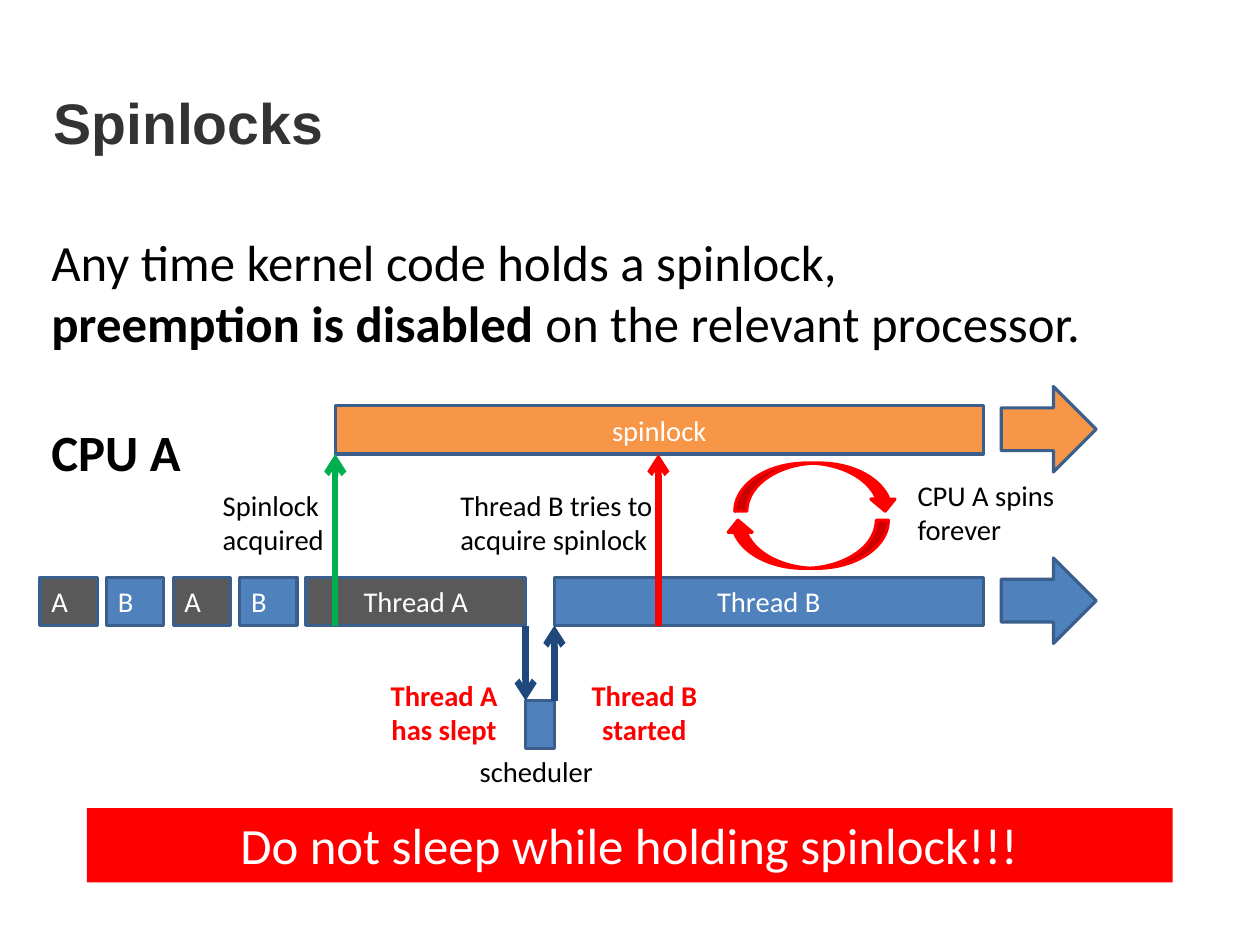
from lxml import etree
from pptx import Presentation
from pptx import util as u
from pptx.dml.color import RGBColor
from pptx.enum import shapes, text
from pptx.oxml.ns import qn

KIND = shapes.MSO_SHAPE
LEFT, CENTER = text.PP_ALIGN.LEFT, text.PP_ALIGN.CENTER
TOP, MIDDLE = text.MSO_ANCHOR.TOP, text.MSO_ANCHOR.MIDDLE

BLACK, WHITE, RED, GREEN = "000000", "FFFFFF", "FF0000", "00B050"
GREY, BLUE, ORANGE = "595959", "4F81BD", "F79646"
NAVY, BORDER = "1F497D", "3A5F8C"

# Shared positions on the timeline, in cm
BAR_HEIGHT = 1.07
LOCK_TOP, THREAD_TOP, SCHEDULER_TOP = 9.02, 12.83, 15.57
LOCK_BOTTOM = LOCK_TOP + BAR_HEIGHT
THREAD_BOTTOM = THREAD_TOP + BAR_HEIGHT
ACQUIRED, SLEPT, STARTED, RETRIED, BARS_END = 7.45, 11.68, 12.32, 14.63, 21.85


def color(value):
    return RGBColor.from_string(value)


class Slide:
    """Draws elements on one slide; places and sizes are in cm."""
    font = "Calibri"

    def __init__(self, page):
        self.page = page

    def set_text(self, frame, lines, size=18, ink=BLACK, bold=False, align=LEFT,
                 anchor=TOP, font=None):
        """Fill a text frame; a line is a string or a list of (text, bold) spans."""
        frame.word_wrap = True
        frame.vertical_anchor = anchor
        for index, line in enumerate(lines):
            para = frame.paragraphs[0] if index == 0 else frame.add_paragraph()
            para.alignment = align
            para.font.name = font or self.font
            para.font.size = u.Pt(size)
            para.font.color.rgb = color(ink)
            if isinstance(line, str):
                para.font.bold = bold
                para.add_run().text = line
            else:
                for words, heavy in line:
                    span = para.add_run()
                    span.text = words
                    span.font.bold = heavy

    def label(self, place, *lines, **style):
        box = self.page.shapes.add_textbox(*map(u.Cm, place))
        self.set_text(box.text_frame, lines, **style)
        return box

    def shape(self, kind, place, fill, border=BORDER, caption=None, **style):
        shape = self.page.shapes.add_shape(kind, *map(u.Cm, place))
        shape.shadow.inherit = False
        shape.fill.solid()
        shape.fill.fore_color.rgb = color(fill)
        if border:
            shape.line.color.rgb = color(border)
            shape.line.width = u.Pt(2)
        else:
            shape.line.fill.background()
        if caption:
            style = {"ink": WHITE, "align": CENTER, "anchor": MIDDLE, **style}
            self.set_text(shape.text_frame, [caption], **style)
        return shape

    def bar(self, start, end, top, fill, caption=None, **style):
        place = (start, top, end - start, BAR_HEIGHT)
        return self.shape(KIND.RECTANGLE, place, fill, caption=caption, **style)

    def arrow(self, x, start, end, ink):
        """Draw a vertical arrow from start to end."""
        connector = self.page.shapes.add_connector(
            shapes.MSO_CONNECTOR.STRAIGHT, *map(u.Cm, (x, start, x, end)))
        connector.line.color.rgb = color(ink)
        connector.line.width = u.Pt(4)
        properties = connector._element.spPr
        etree.SubElement(properties.find(qn("a:ln")), qn("a:tailEnd"), type="arrow")
        etree.SubElement(properties, qn("a:effectLst"))


def draw_text(slide):
    title = slide.label((1.19, 1.8, 23.4, 1.8), "Spinlocks", size=36, ink="333333",
                        bold=True, anchor=MIDDLE, font="Arial")
    frame = title.text_frame
    frame.margin_left = frame.margin_right = frame.margin_top = frame.margin_bottom = 0
    slide.label((0.89, 5, 26.23, 3.05),
                "Any time kernel code holds a spinlock,",
                [("preemption is disabled ", True),
                 ("on the relevant processor.", False)], size=32)
    slide.label((0.89, 9.22, 3.38, 1.65), "CPU A", size=32, bold=True)


def draw_timeline(slide):
    for index, name in enumerate("ABAB"):
        start = 0.89 + index * 1.48
        slide.bar(start, start + 1.27, THREAD_TOP, GREY if name == "A" else BLUE,
                  name, align=LEFT)
    slide.bar(6.8, SLEPT, THREAD_TOP, GREY, "Thread A")
    slide.bar(STARTED, BARS_END, THREAD_TOP, BLUE, "Thread B")
    slide.bar(ACQUIRED, BARS_END, LOCK_TOP, ORANGE, "spinlock")
    slide.bar(SLEPT, STARTED, SCHEDULER_TOP, BLUE)

    for top, fill in ((LOCK_TOP, ORANGE), (THREAD_TOP, BLUE)):
        slide.shape(KIND.RIGHT_ARROW, (22.25, top - 0.43, 2.11, 1.9), fill)
    for left, top, turn in ((16.33, 10.29, 0), (16.13, 11.56, 180)):
        loop = slide.shape(KIND.CURVED_DOWN_ARROW, (left, top, 3.61, 1.07), RED, RED)
        loop.rotation = turn

    slide.arrow(ACQUIRED, THREAD_BOTTOM, LOCK_BOTTOM, GREEN)
    slide.arrow(RETRIED, THREAD_BOTTOM, LOCK_BOTTOM, RED)
    slide.arrow(SLEPT, THREAD_BOTTOM, SCHEDULER_TOP, NAVY)
    slide.arrow(STARTED, SCHEDULER_TOP, THREAD_BOTTOM, NAVY)


def draw_captions(slide):
    slide.label((4.7, 10.72, 2.97, 1.83), "Spinlock", "acquired")
    slide.label((9.98, 10.72, 5.08, 1.83), "Thread B tries to acquire spinlock")
    slide.label((20.14, 10.49, 3.81, 1.83), "CPU A spins forever")
    slide.label((10.41, 16.64, 3.38, 1.04), "scheduler")
    for left, name, event in ((8.28, "Thread A", "has slept"),
                              (12.73, "Thread B", "started")):
        slide.label((left, 14.94, 3.18, 1.83), name, event,
                    ink=RED, bold=True, align=CENTER)
    slide.shape(KIND.RECTANGLE, (1.93, 17.96, 24.13, 1.65), RED, None,
                "Do not sleep while holding spinlock!!!", size=32, anchor=TOP)


def main():
    deck = Presentation()
    deck.slide_width, deck.slide_height = u.Cm(28), u.Cm(21)
    slide = Slide(deck.slides.add_slide(deck.slide_layouts[6]))
    draw_text(slide)
    draw_timeline(slide)
    draw_captions(slide)
    deck.save("out.pptx")


if __name__ == "__main__":
    main()
